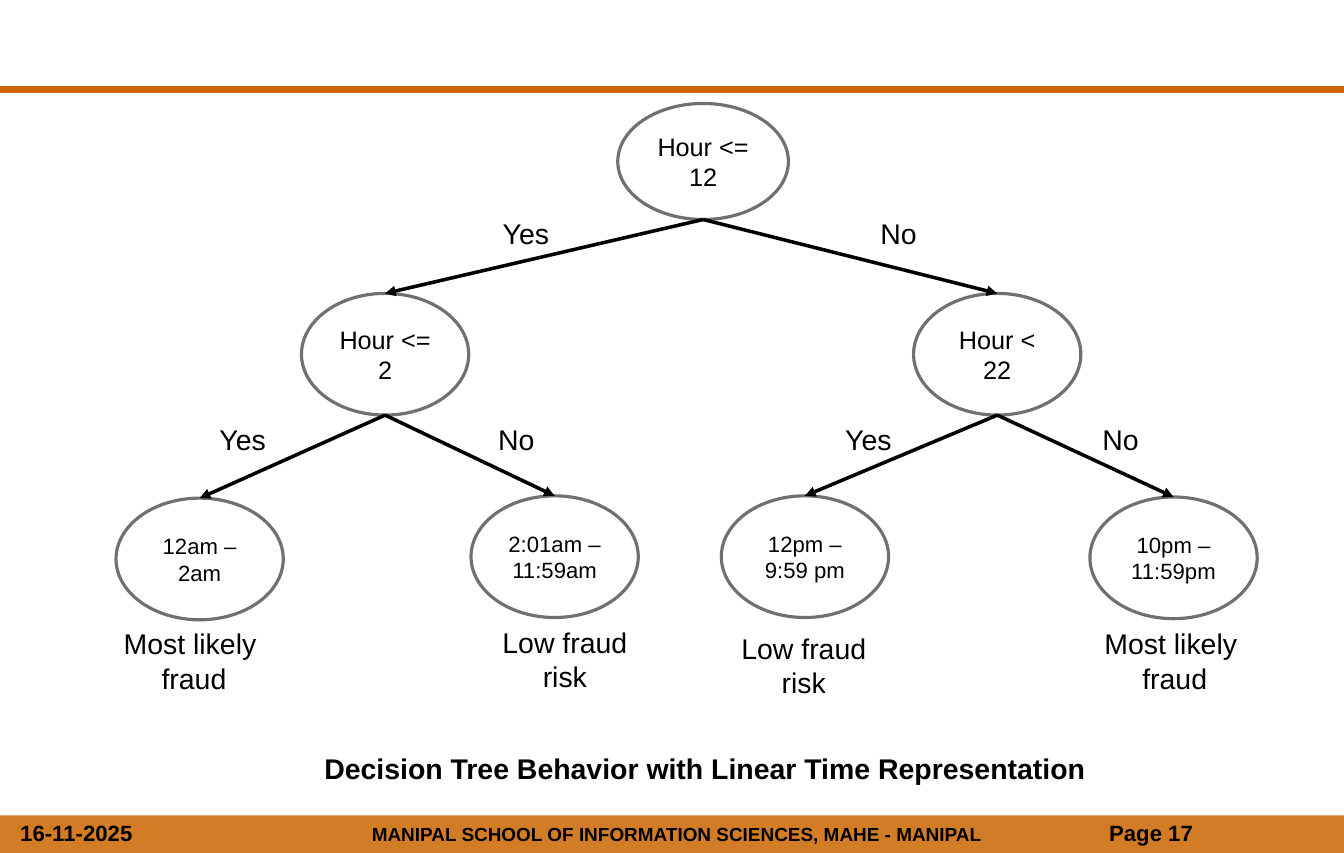
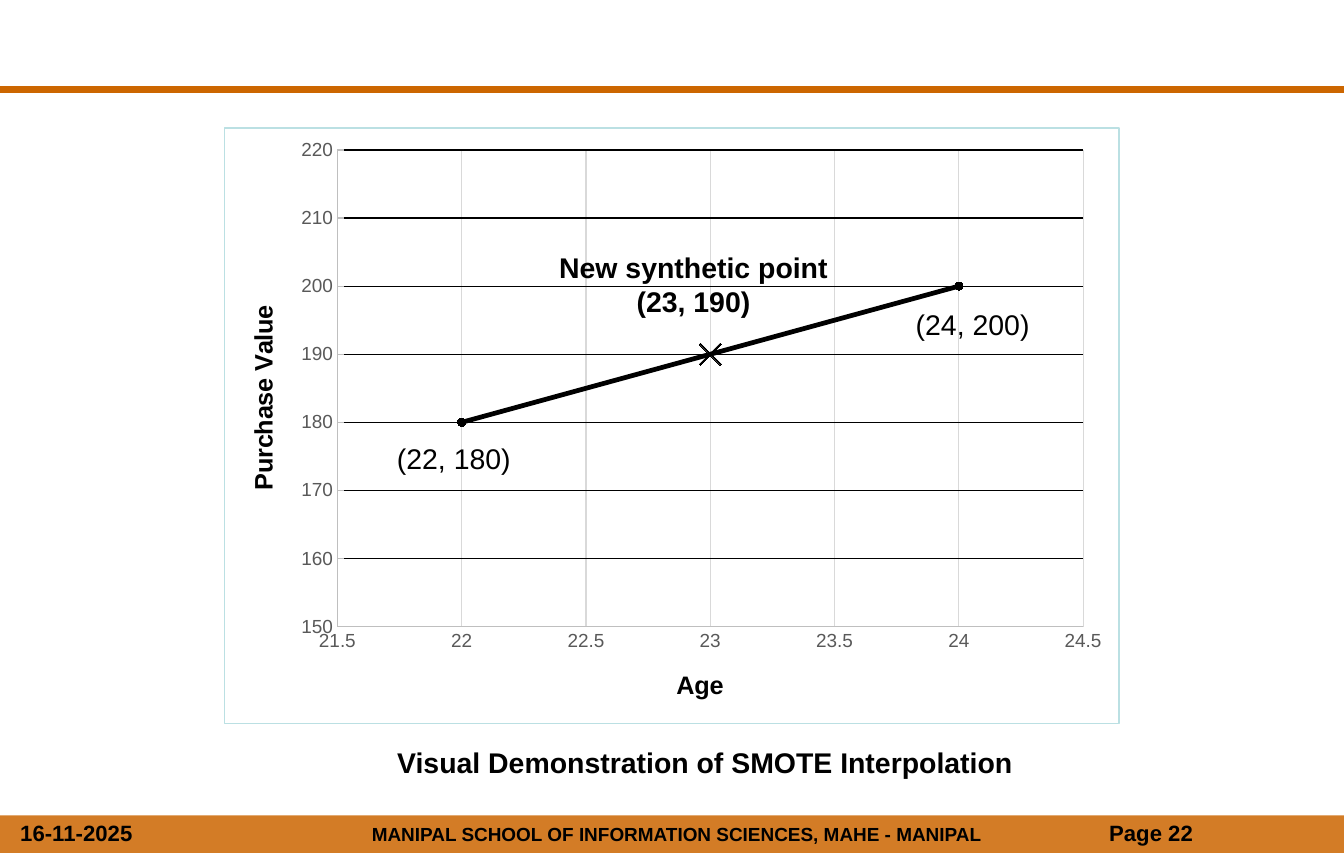
from lxml.etree import SubElement as Sub
from pptx import Presentation
from pptx.chart.data import XyChartData
from pptx.dml.color import RGBColor
from pptx.enum.chart import XL_CHART_TYPE as Kind
from pptx.enum.chart import XL_MARKER_STYLE as Mark, XL_TICK_MARK as Tick
from pptx.enum.shapes import MSO_CONNECTOR as Conn, MSO_SHAPE as Form
from pptx.enum.text import MSO_ANCHOR as Anchor, MSO_AUTO_SIZE as Auto, PP_ALIGN as Align
from pptx.oxml import parse_xml
from pptx.oxml.ns import nsdecls, qn
from pptx.util import Inches, Pt

FONT = "Arial"
BLACK, WHITE, BRAND, RING = "000000", "FFFFFF", "CC6600", "707070"
GREY, AXIS, GRID, EDGE = "595959", "BFBFBF", "D9D9D9", "BBE0E3"
WIDE, HIGH = 189 / 16, 7.5
SCHOOL = "MANIPAL SCHOOL OF INFORMATION SCIENCES, MAHE - MANIPAL"
DATE = "16-11-2025"


def color(code):
    return RGBColor.from_string(code)


def box(*lens):
    return [Inches(n) for n in lens]


def paint(part, code):
    part.fill.solid()
    part.fill.fore_color.rgb = color(code)


def stroke(line, code, width):
    line.color.rgb = color(code)
    line.width = Pt(width)


def style(font, size, code=BLACK, bold=False):
    font.name = FONT
    font.size = Pt(size)
    font.bold = bold
    font.color.rgb = color(code)


def write(frame, lines, size, bold=False, align=Align.LEFT):
    for n, text in enumerate(lines):
        para = frame.add_paragraph() if n else frame.paragraphs[0]
        para.alignment = align
        run = para.add_run()
        run.text = text
        style(run.font, size, bold=bold)


def label(slide, place, lines, size=18, bold=False, align=Align.LEFT, wrap=False):
    frame = slide.shapes.add_textbox(*box(*place)).text_frame
    frame.word_wrap = wrap
    write(frame, lines, size, bold, align)


def link(slide, start, end, code, width):
    line = slide.shapes.add_connector(Conn.STRAIGHT, *box(*start, *end))
    stroke(line.line, code, width)
    Sub(line.element.spPr, qn("a:effectLst"))
    return line


def oval(slide, place, text, size):
    node = slide.shapes.add_shape(Form.OVAL, *box(*place))
    node.shadow.inherit = False
    paint(node, WHITE)
    stroke(node.line, RING, 2)
    frame = node.text_frame
    frame.word_wrap = True
    frame.vertical_anchor = Anchor.MIDDLE
    write(frame, [text], size, align=Align.CENTER)
    return node


def arrow(slide, top, low):
    line = link(slide, (0, 0), (1, 1), BLACK, 2.25)
    line.begin_connect(top, 2)
    line.end_connect(low, 0)
    line.element.find(".//" + qn("a:stCxn")).set("idx", "4")
    Sub(line.element.spPr.find(qn("a:ln")), qn("a:tailEnd"), type="triangle")


def title(slide, place, text):
    head = slide.shapes.title
    head.left, head.top, head.width, head.height = box(*place)
    frame = head.text_frame
    frame.auto_size = Auto.NONE
    frame.word_wrap = True
    frame.vertical_anchor = Anchor.TOP
    write(frame, [text], 18, True)


def base(deck, page):
    slide = deck.slides.add_slide(deck.slide_layouts[5])
    link(slide, (0, 0.79), (WIDE, 0.79), BRAND, 4.5)
    band = slide.shapes.add_shape(Form.RECTANGLE, *box(0, 7.17, WIDE, 0.33))
    band.shadow.inherit = False
    paint(band, BRAND)
    tint = band.element.spPr.find(".//" + qn("a:srgbClr"))
    Sub(tint, qn("a:alpha"), val="85000")
    band.line.fill.background()
    label(slide, (2.85, 7.18, 6.2, 0.31), [SCHOOL], 12, True, Align.CENTER, True)
    label(slide, (0.08, 7.16, 1.33, 0.34), [DATE], 14, True, wrap=True)
    label(slide, (9.65, 7.16, 2.15, 0.34), [f"Page {page}"], 14, True, wrap=True)
    return slide


def tree(deck):
    slide = base(deck, 17)
    title(slide, (2.75, 6.55, 7.1, 0.4),
          "Decision Tree Behavior with Linear Time Representation")
    root = oval(slide, (5.43, 0.91, 1.5, 1.02), "Hour <= 12", 16)
    risky, safe = ("Most likely ", "fraud"), ("Low fraud", "risk")
    forks = [
        (2.65, "Hour <= 2", [(1.02, 4.38, "12am – 2am", 0.98, 5.46, risky),
                             (4.14, 4.36, "2:01am – 11:59am", 4.31, 5.45, safe)]),
        (8.03, "Hour < 22", [(6.34, 4.36, "12pm – 9:59 pm", 6.41, 5.5, safe),
                             (9.58, 4.37, "10pm – 11:59pm", 9.6, 5.46, risky)]),
    ]
    for left, text, leaves in forks:
        fork = oval(slide, (left, 2.58, 1.47, 1.07), text, 16)
        arrow(slide, root, fork)
        for x, y, hours, tag, top, fate in leaves:
            leaf = oval(slide, (x, y, 1.47, 1.07), hours, 14)
            arrow(slide, fork, leaf)
            width = 1.45 if fate == risky else 1.31
            label(slide, (tag, top, width, 0.71), fate, align=Align.CENTER)
    for yes, no, top in [(4.32, 7.64, 1.85), (1.83, 4.28, 3.66), (7.33, 9.59, 3.66)]:
        label(slide, (yes, top, 0.61, 0.4), ["Yes"])
        label(slide, (no, top, 0.52, 0.4), ["No"])


def layout(part, **spots):
    for old in part.findall(qn("c:layout")):
        part.remove(old)
    new = parse_xml(f"<c:layout {nsdecls('c')}><c:manualLayout/></c:layout>")
    part.insert(len(part.findall(qn("c:tx"))), new)
    for name, val in spots.items():
        Sub(new[0], qn("c:" + name), val=str(val))


def scale(axis, text, low, high, step, grid, tick, spot, turn=0):
    axis.minimum_scale, axis.maximum_scale, axis.major_unit = low, high, step
    axis.major_tick_mark = tick
    axis.minor_tick_mark = Tick.NONE
    axis.has_major_gridlines = True
    stroke(axis.major_gridlines.format.line, grid, 0.75)
    stroke(axis.format.line, AXIS, 0.75)
    style(axis.tick_labels.font, 12, GREY)
    axis.tick_labels.number_format = "General"
    axis.tick_labels.number_format_is_linked = False
    name = axis.axis_title
    write(name.text_frame, [text], 16, True)
    body = name.element.find(".//" + qn("a:bodyPr"))
    body.set("rot", str(turn * 60000))
    body.set("vert", "horz")
    x, y = spot
    layout(name.element, xMode="edge", yMode="edge", x=x, y=y)


def dot(item, shape, size):
    stroke(item.format.line, BLACK, 3)
    mark = item.marker
    mark.style, mark.size = shape, size
    paint(mark.format, BLACK)
    stroke(mark.format.line, BLACK, 0.75)


def plot(slide):
    data = XyChartData()
    points = data.add_series("Series 1")
    for x, y in [(22, 180), (24, 200), (23, 190)]:
        points.add_data_point(x, y)
    chart = slide.shapes.add_chart(
        Kind.XY_SCATTER_LINES, *box(1.97, 1.12, 7.87, 5.25), data).chart
    style(chart.font, 10)
    chart.has_legend = chart.has_title = False
    chart.plots[0].vary_by_categories = False
    scale(chart.category_axis, "Age", 21.5, 24.5, 0.5, GRID, Tick.NONE, (0.5, 0.9))
    scale(chart.value_axis, "Purchase Value", 150, 220, 10, BLACK, Tick.INSIDE,
          (0.02, 0.29), -90)
    line = chart.plots[0].series[0]
    dot(line, Mark.CIRCLE, 5)
    dot(line.points[2], Mark.X, 14)
    area = chart.element.find(qn("c:chart"))
    layout(area.find(qn("c:plotArea")), layoutTarget="inner", xMode="edge",
           yMode="edge", x=0.126, y=0.037, w=0.834, h=0.8)
    area.addnext(parse_xml(
        f'<c:spPr {nsdecls("c", "a")}><a:solidFill><a:srgbClr val="{WHITE}"/></a:solidFill>'
        f'<a:ln w="9525"><a:solidFill><a:srgbClr val="{EDGE}"/></a:solidFill></a:ln></c:spPr>'))


def smote(deck):
    slide = base(deck, 22)
    title(slide, (3.39, 6.5, 5.94, 0.4), "Visual Demonstration of SMOTE Interpolation")
    plot(slide)
    label(slide, (3.39, 3.83, 1.21, 0.4), ["(22, 180)"])
    label(slide, (7.95, 2.65, 1.21, 0.4), ["(24, 200)"])
    label(slide, (4.8, 2.15, 2.59, 0.71), ["New synthetic point", "(23, 190)"],
          bold=True, align=Align.CENTER)


def main():
    deck = Presentation()
    deck.slide_width, deck.slide_height = box(WIDE, HIGH)
    tree(deck)
    smote(deck)
    deck.save("out.pptx")


if __name__ == "__main__":
    main()
